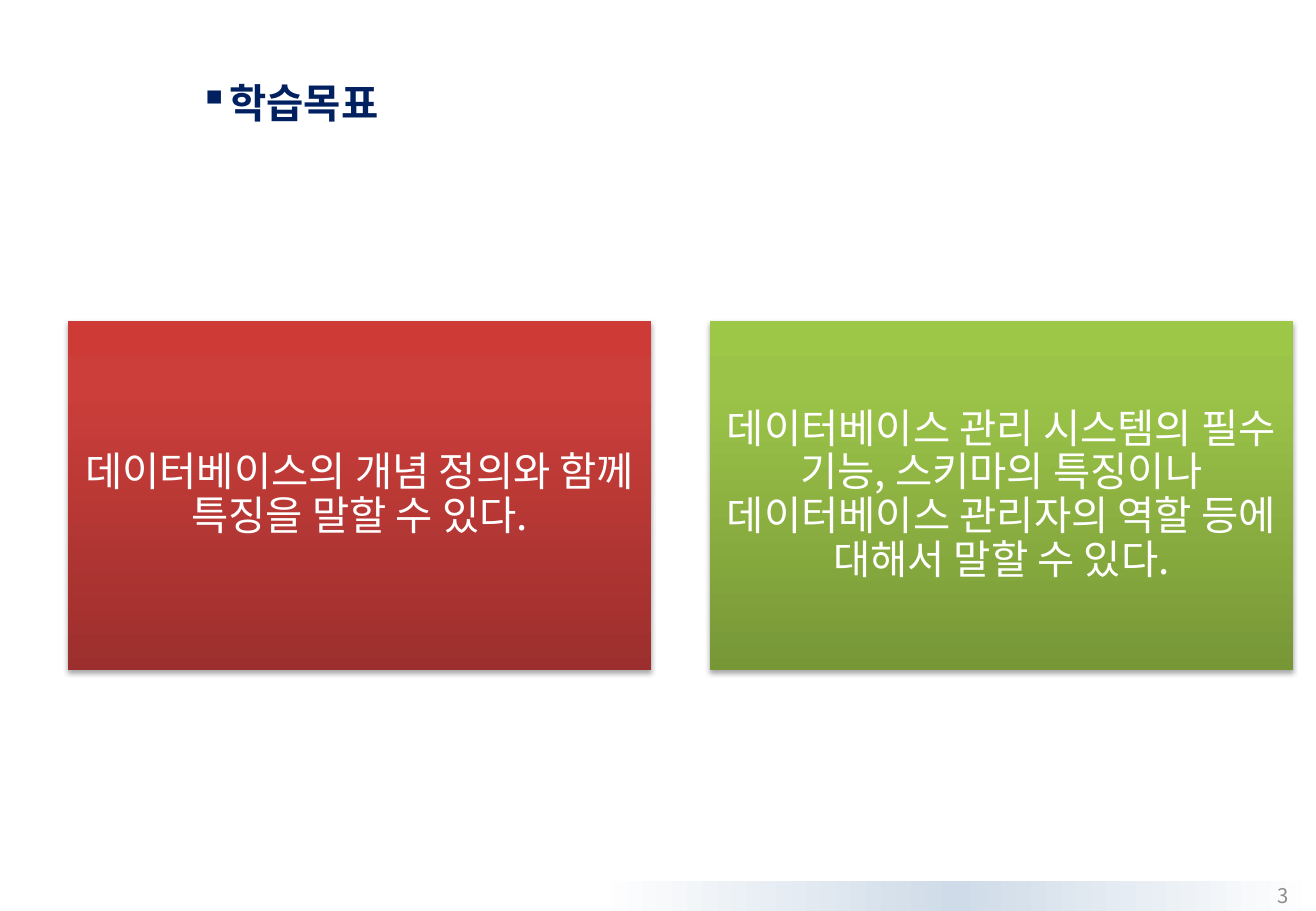
import copy
import lxml.etree
import pptx
import pptx.dml.color
import pptx.enum.shapes
import pptx.enum.text
import pptx.oxml.ns
import pptx.util

Inches = pptx.util.Inches
Pt = pptx.util.Pt
qn = pptx.oxml.ns.qn
ALIGN = pptx.enum.text.PP_ALIGN
ANCHOR = pptx.enum.text.MSO_ANCHOR
RECTANGLE = pptx.enum.shapes.MSO_SHAPE.RECTANGLE
FONT = "Noto Sans CJK KR"


def paint(owner, *stops, angle=0):
    if len(stops) == 1:
        owner.fill.solid()
        owner.fill.fore_color.rgb = pptx.dml.color.RGBColor.from_string(stops[0])
        return
    owner.fill.gradient()
    owner.fill.gradient_angle = angle
    stop_list = owner.element.find(".//" + qn("a:gsLst"))
    while len(stop_list) < len(stops):
        stop_list.append(copy.deepcopy(stop_list[0]))
    for stop, (position, color) in zip(owner.fill.gradient_stops, stops):
        stop.position = position
        stop.color.rgb = pptx.dml.color.RGBColor.from_string(color)


def write(shape, text, size=24, color="FFFFFF", bold=False, align=ALIGN.CENTER,
          anchor=ANCHOR.MIDDLE, spacing=1.0, inset=0.1, bullet=None):
    frame = shape.text_frame
    frame.word_wrap = True
    frame.vertical_anchor = anchor
    frame.margin_left = frame.margin_right = Inches(0.1)
    frame.margin_top = frame.margin_bottom = Inches(inset)
    paragraph = frame.paragraphs[0]
    paragraph.alignment = align
    paragraph.line_spacing = spacing
    run = paragraph.add_run()
    run.text = text
    run.font.size = Pt(size)
    run.font.bold = bold
    run.font.name = FONT
    paint(run.font, color)
    properties = run.font.fill and run._r.get_or_add_rPr()
    lxml.etree.SubElement(properties, qn("a:ea"), typeface=FONT)
    if bullet:
        lxml.etree.SubElement(paragraph._p.get_or_add_pPr(), qn("a:buChar"), char=bullet)


deck = pptx.Presentation()
deck.slide_width = Inches(10.83)
deck.slide_height = Inches(7.5)
slide = deck.slides.add_slide(deck.slide_layouts[6])

footer_band = slide.shapes.add_shape(
    RECTANGLE, Inches(4.91), Inches(7.25), Inches(5.92), Inches(0.25))
footer_band.shadow.inherit = False
footer_band.line.fill.background()
paint(footer_band, (0, "FFFFFF"), (0.5, "CFDBE8"), (1, "FFFFFF"))

content_panel = slide.shapes.add_shape(
    RECTANGLE, Inches(0.33), Inches(1.08), Inches(10.5), Inches(6.17))
content_panel.shadow.inherit = False
content_panel.line.fill.background()
paint(content_panel, "FFFFFF")

goals = [
    ("데이터베이스의 개념 정의와 함께 특징을 말할 수 있다.",
     ("9C2F2D", "CB3E3A", "CE3B37")),
    ("데이터베이스 관리 시스템의 필수 기능, 스키마의 특징이나 데이터베이스 관리자의 역할 등에 대해서 말할 수 있다.",
     ("779737", "9BC348", "9DC746")),
]
for index, (goal, shades) in enumerate(goals):
    card = slide.shapes.add_shape(
        RECTANGLE, Inches(0.56 + 5.28 * index), Inches(2.64), Inches(4.8), Inches(2.88))
    card.shadow.inherit = False
    card.line.fill.background()
    paint(card, *zip((0, 0.8, 1), shades), angle=90)
    effects = card.element.spPr.find(qn("a:effectLst"))
    shadow = lxml.etree.SubElement(
        effects, qn("a:outerShdw"), blurRad=str(Pt(3.1)), dist=str(Pt(1.8)),
        dir="5400000", rotWithShape="0")
    shadow_color = lxml.etree.SubElement(shadow, qn("a:srgbClr"), val="000000")
    lxml.etree.SubElement(shadow_color, qn("a:alpha"), val="35000")
    write(card, goal, spacing=0.9)

heading = slide.shapes.add_textbox(Inches(1.54), Inches(0.63), Inches(7.71), Inches(0.46))
write(heading, "학습목표", color="002060", bold=True, align=ALIGN.LEFT,
      anchor=ANCHOR.BOTTOM, inset=0.05, bullet="▪")

page_number = slide.shapes.add_textbox(Inches(8.17), Inches(7.25), Inches(2.53), Inches(0.25))
write(page_number, "3", size=12, color="8C8C8C", align=ALIGN.RIGHT, inset=0.05)

deck.save("out.pptx")
